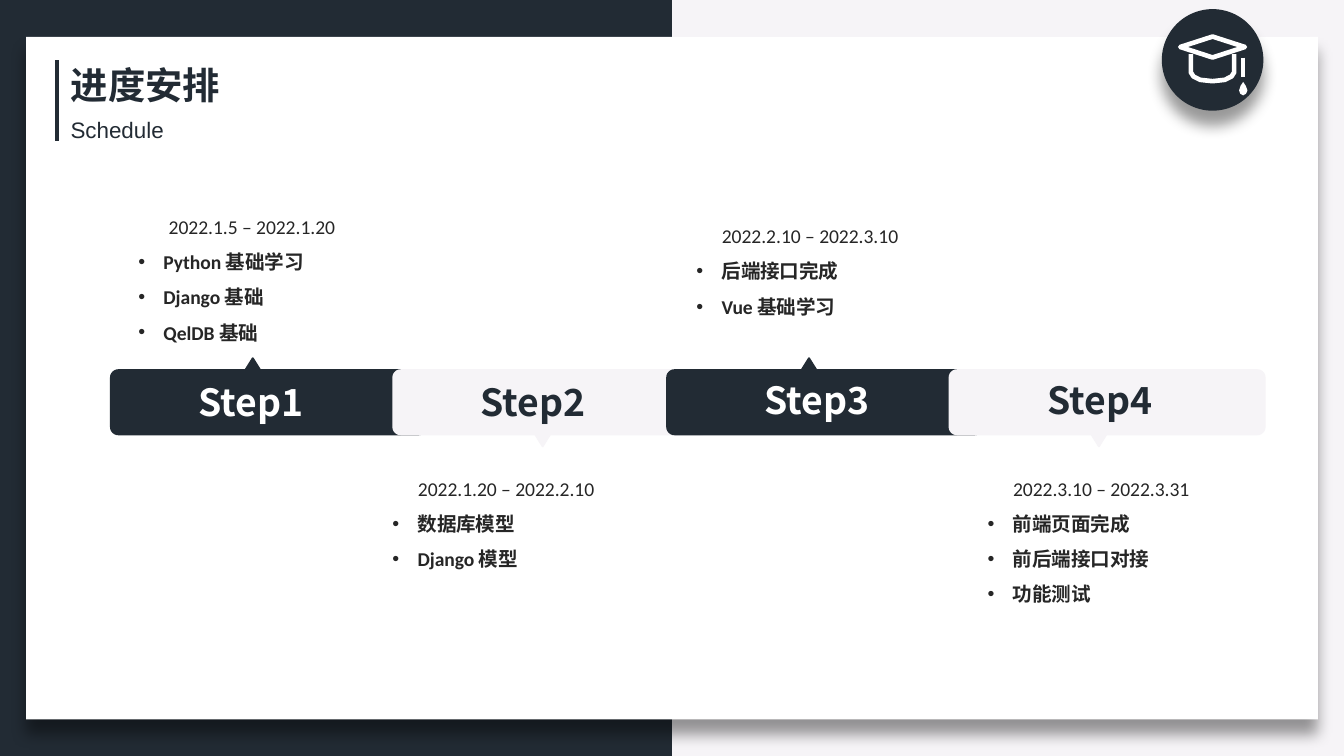
from math import cos, sin, radians
from lxml import etree
from pptx import Presentation
from pptx.dml.color import RGBColor
from pptx.enum.shapes import MSO_CONNECTOR, MSO_SHAPE as SHAPE
from pptx.enum.text import MSO_ANCHOR as ANCHOR, PP_ALIGN as ALIGN
from pptx.oxml import parse_xml
from pptx.oxml.ns import nsdecls, qn
from pptx.util import Pt

C = {"navy": "222B34", "pale": "F6F4F7", "white": "FFFFFF", "text": "262626"}
CJK = "Noto Sans CJK SC"


def write(sp, lines, size, font, color, bold=False):
    tf = sp.text_frame
    tf.text = "\n".join(lines)
    tf.vertical_anchor = ANCHOR.TOP
    for p in tf.paragraphs:
        p.alignment = ALIGN.LEFT
        for r in p.runs:
            r.font.size = Pt(size)
            r.font.bold = bold
            r.font.name = font
            r.font.color.rgb = RGBColor.from_string(C[color])
            ea = etree.SubElement(r.font._element, qn("a:ea"))
            ea.set("typeface", CJK)
    return tf


def outline(points, fill, line=None, width=1, close=True):
    pts = [(Pt(x), Pt(y)) for x, y in points]
    fb = slide.shapes.build_freeform(*pts[0], scale=1.0)
    fb.add_line_segments(pts[1:], close=close)
    sp = fb.convert_to_shape()
    sp.shadow.inherit = False
    if fill:
        sp.fill.solid()
        sp.fill.fore_color.rgb = RGBColor.from_string(C[fill])
    else:
        sp.fill.background()
    if line:
        sp.line.color.rgb = RGBColor.from_string(C[line])
        sp.line.width = Pt(width)
    else:
        sp.line.fill.background()


prs = Presentation()
prs.slide_width, prs.slide_height = Pt(720), Pt(405)
slide = prs.slides.add_slide(prs.slide_layouts[5])
shapes = slide.shapes
slide.background.fill.solid()
slide.background.fill.fore_color.rgb = RGBColor.from_string(C["pale"])

for kind, box, fill, shadow in [
    (SHAPE.RECTANGLE, (0, 0, 360, 405), "navy", False),
    (SHAPE.RECTANGLE, (14, 19.8, 692, 365.6), "white", True),
    (SHAPE.OVAL, (622.4, 4.9, 54.4, 54.4), "navy", True),
]:
    sp = shapes.add_shape(kind, *[Pt(v) for v in box])
    sp.shadow.inherit = False
    sp.fill.solid()
    sp.fill.fore_color.rgb = RGBColor.from_string(C[fill])
    sp.line.fill.background()
    if shadow:
        effects = sp._element.spPr.find(qn("a:effectLst"))
        effects.append(parse_xml(
            f'<a:outerShdw {nsdecls("a")} blurRad="{Pt(8)}" dist="{Pt(8)}" '
            'dir="5400000" algn="t" rotWithShape="0"><a:srgbClr val="000000">'
            '<a:alpha val="40000"/></a:srgbClr></a:outerShdw>'))

cap_top = [(632.3, 25.2), (649.6, 19.6), (666.9, 25.2), (649.6, 30.8)]
cap_body = [(638, 29), (638, 38.8), (639.4, 41), (643, 42.8), (649.6, 43.5),
            (656.2, 42.8), (659.8, 41), (661.2, 38.8), (661.2, 29)]
tassel_cord = [(666, 30.9), (666, 41.2)]
tassel_drop = [(666, 43.9), (664.6, 46), (663.8, 48.5), (664.5, 50.3),
               (666, 51.1), (667.5, 50.3), (668.3, 48.5), (667.4, 46)]
outline(cap_top, None, "white", 2.5)
outline(cap_body, None, "white", 2.5, close=False)
outline(tassel_cord, None, "white", 2.5, close=False)
outline(tassel_drop, "white")

bar = shapes.add_connector(MSO_CONNECTOR.STRAIGHT, Pt(30.7), Pt(32.2), Pt(30.7), Pt(75.6))
bar.line.color.rgb = RGBColor.from_string(C["navy"])
bar.line.width = Pt(2.25)
etree.SubElement(bar._element.spPr, qn("a:effectLst"))

title = shapes.title
title.left, title.top, title.width, title.height = Pt(30.7), Pt(29.6), Pt(95), Pt(31.5)
write(title, ["进度安排"], 20, CJK, "navy", True).word_wrap = False
shapes._spTree.append(title._element)
sub = shapes.add_textbox(Pt(30.7), Pt(58.6), Pt(65), Pt(21.8))
write(sub, ["Schedule"], 12, "Arial", "navy").word_wrap = False

BAR_W, TOP, BOTTOM, RADIUS, TIP = 168.8, 198.3, 232.7, 4, 6.4
steps = [
    (59.4, 99.4, 199.4, 67, 105.2, "2022.1.5 – 2022.1.20",
     ["Python 基础学习", "Django 基础", "QelDB 基础"]),
    (210.7, 250.4, 199.4, 203.2, 245.5, "2022.1.20 – 2022.2.10",
     ["数据库模型", "Django 模型"]),
    (357.4, 402.6, 198.5, 366, 110.2, "2022.2.10 – 2022.3.10",
     ["后端接口完成", "Vue 基础学习"]),
    (508.7, 554, 198.5, 522, 245.5, "2022.3.10 – 2022.3.31",
     ["前端页面完成", "前后端接口对接", "功能测试"]),
]

for i, (left, *_) in enumerate(steps):
    up = i % 2 == 0
    right = left + BAR_W
    tip_x = left + (76 if up else 80)
    points = []
    for cx, cy, start in [(left + RADIUS, TOP + RADIUS, 180),
                          (right - RADIUS, TOP + RADIUS, 270),
                          (right - RADIUS, BOTTOM - RADIUS, 0),
                          (left + RADIUS, BOTTOM - RADIUS, 90)]:
        points += [(cx + RADIUS * cos(radians(start + a)),
                    cy + RADIUS * sin(radians(start + a))) for a in range(0, 91, 15)]
        if up and start == 180:
            points += [(tip_x - 4, TOP), (tip_x, TOP - TIP), (tip_x + 4, TOP)]
        if not up and start == 0:
            points += [(tip_x + 4, BOTTOM), (tip_x, BOTTOM + TIP), (tip_x - 4, BOTTOM)]
    color = "navy" if up else "pale"
    outline(points, color, color)

for i, (_, label_x, label_y, text_x, text_y, dates, tasks) in enumerate(steps):
    label = shapes.add_textbox(Pt(label_x), Pt(label_y), Pt(72), Pt(31.5))
    color = "navy" if i % 2 else "white"
    write(label, [f"Step{i + 1}"], 20, CJK, color, True).word_wrap = False

    box = shapes.add_textbox(Pt(text_x), Pt(text_y), Pt(136), Pt(25 + 19 * len(tasks)))
    tf = write(box, [dates] + tasks, 10.5, "Calibri", "text", True)
    tf.word_wrap = True
    for p in tf.paragraphs:
        p.line_spacing = 1.5
    tf.paragraphs[0].alignment = ALIGN.CENTER
    tf.paragraphs[0].runs[0].font.bold = False
    for p in tf.paragraphs[1:]:
        pPr = p._p.get_or_add_pPr()
        pPr.set("marL", str(Pt(13.5)))
        pPr.set("indent", str(-Pt(13.5)))
        etree.SubElement(pPr, qn("a:buFont")).set("typeface", "Arial")
        etree.SubElement(pPr, qn("a:buChar")).set("char", "•")

prs.save("out.pptx")
